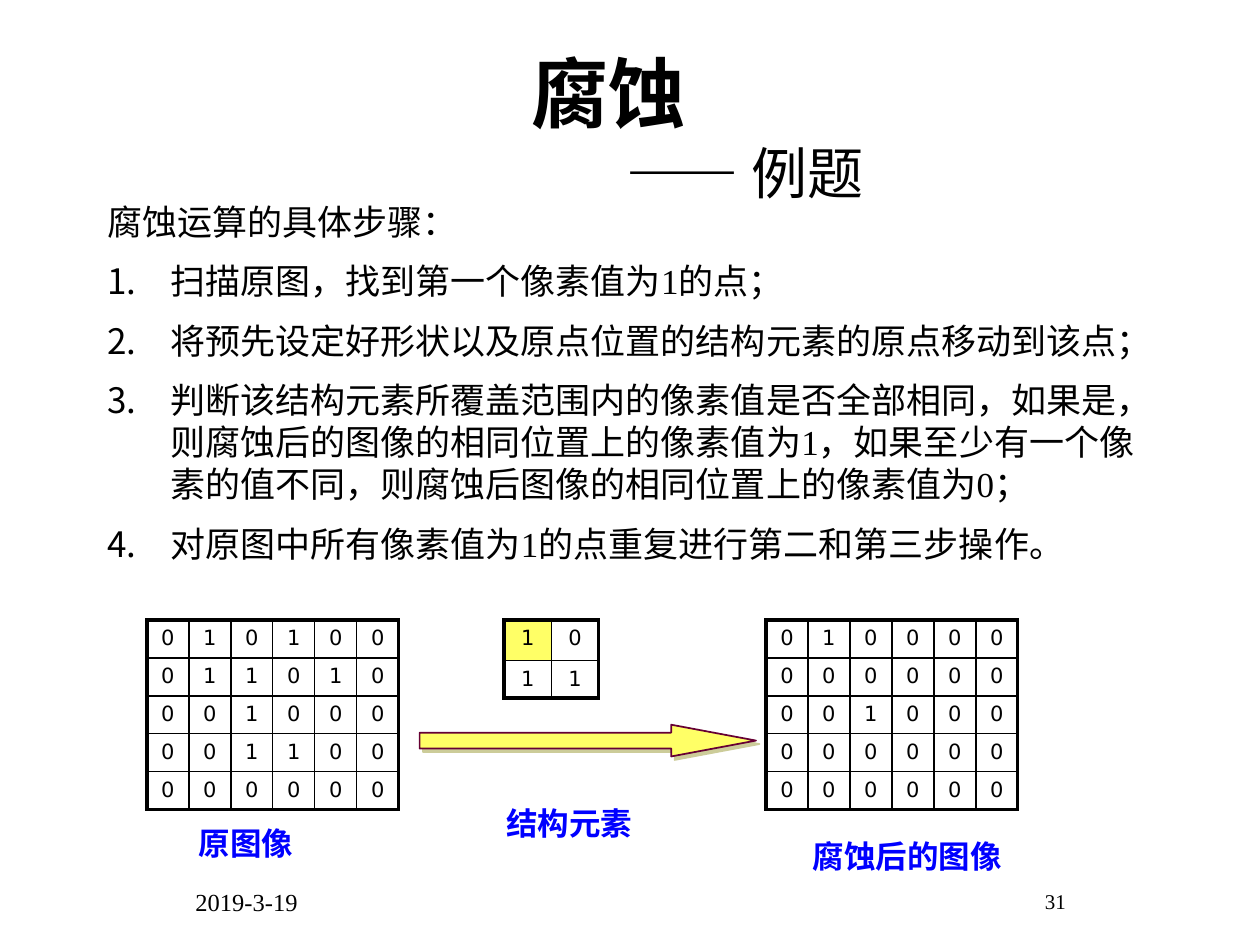
from lxml import etree
from pptx import Presentation
from pptx import util as u
from pptx.dml import color
from pptx.enum import shapes, text
from pptx.oxml import ns

BLACK, WHITE, BLUE, YELLOW = "000000", "FFFFFF", "0000FF", "FFFF66"
SERIF = "Times New Roman"
ORIGINAL = ["010100", "011010", "001000", "001100", "000000"]
ELEMENT = ["10", "11"]
ERODED = ["010000", "000000", "001000", "000000", "000000"]
STEPS = [
    "扫描原图，找到第一个像素值为1的点；",
    "将预先设定好形状以及原点位置的结构元素的原点移动到该点；",
    "判断该结构元素所覆盖范围内的像素值是否全部相同，如果是，则腐蚀后的图像的相同位置上的像素值为1，"
    "如果至少有一个像素的值不同，则腐蚀后图像的相同位置上的像素值为0；",
    "对原图中所有像素值为1的点重复进行第二和第三步操作。",
]
LABELS = [
    ("原图像", 3.76, 16.48, 2.44),
    ("结构元素", 9.96, 16.08, 3.1),
    ("腐蚀后的图像", 16.13, 16.74, 4.39),
]


def rgb(value):
    return color.RGBColor.from_string(value)


def add_child(parent, tag, **attributes):
    return etree.SubElement(parent, ns.qn(tag), attributes)


def write(paragraph, content, size=20, font=SERIF, fill=BLACK, bold=False, align=text.PP_ALIGN.LEFT):
    run = paragraph.add_run()
    run.text = content
    run.font.size = u.Pt(size)
    run.font.name = font
    run.font.bold = bold
    run.font.color.rgb = rgb(fill)
    paragraph.alignment = align


def box(left, top, width, height):
    return [u.Cm(length) for length in (left, top, width, height)]


def add_title(slide):
    title = slide.shapes.title
    title.left, title.top, title.width, title.height = box(1.75, 1.09, 21.39, 3.18)
    frame = title.text_frame
    frame.auto_size = text.MSO_AUTO_SIZE.NONE
    frame.vertical_anchor = text.MSO_ANCHOR.BOTTOM
    heading, subtitle = frame.paragraphs[0], frame.add_paragraph()
    centre = text.PP_ALIGN.CENTER
    write(heading, "腐蚀 ", size=44, font="Montserrat", bold=True, align=centre)
    subtitle._p.get_or_add_pPr().set("marL", str(u.Cm(5.16)))
    write(subtitle, "—— ", size=32, font="Montserrat", bold=True, align=centre)
    write(subtitle, "例题", size=32, font="Montserrat", align=centre)
    slide.shapes._spTree.append(title._element)


def add_footer(slide, content, position, size):
    frame = slide.shapes.add_textbox(*box(*position)).text_frame
    frame.word_wrap = True
    write(frame.paragraphs[0], content, size=size, align=text.PP_ALIGN.CENTER)


def add_panel(slide, position, wrap):
    panel = slide.shapes.add_shape(shapes.MSO_SHAPE.RECTANGLE, *box(*position))
    panel.shadow.inherit = False
    panel.fill.solid()
    panel.fill.fore_color.rgb = rgb(WHITE)
    panel.line.color.rgb = rgb(WHITE)
    panel.line.width = u.Pt(1)
    frame = panel.text_frame
    frame.word_wrap = wrap
    frame.auto_size = text.MSO_AUTO_SIZE.SHAPE_TO_FIT_TEXT
    frame.vertical_anchor = text.MSO_ANCHOR.TOP
    return frame


def add_steps(slide):
    frame = add_panel(slide, (1.91, 3.91, 21.59, 7.87), wrap=True)
    write(frame.paragraphs[0], "腐蚀运算的具体步骤：")
    for step in STEPS:
        paragraph = frame.add_paragraph()
        paragraph.space_before = u.Pt(10)
        properties = paragraph._p.get_or_add_pPr()
        properties.set("marL", str(u.Cm(1.27)))
        properties.set("indent", str(-u.Cm(1.27)))
        add_child(properties, "a:buAutoNum", type="arabicPeriod")
        write(paragraph, step)


def set_borders(cell, outer_sides):
    properties = cell._tc.get_or_add_tcPr()
    for index, side in enumerate("LRTB"):
        width = u.Pt(2.25 if side in outer_sides else 1)
        line = etree.Element(ns.qn(f"a:ln{side}"), w=str(width))
        add_child(add_child(line, "a:solidFill"), "a:srgbClr", val=BLACK)
        properties.insert(index, line)


def add_pixel_grid(slide, pixels, left, width, heights, marked=None):
    rows, columns = len(pixels), len(pixels[0])
    position = box(left, 12.5, width, sum(heights))
    table = slide.shapes.add_table(rows, columns, *position).table
    table.first_row = table.horz_banding = False
    for column in table.columns:
        column.width = u.Cm(width / columns)
    for row, height in zip(table.rows, heights):
        row.height = u.Cm(height)
    for i, values in enumerate(pixels):
        for j, value in enumerate(values):
            cell = table.cell(i, j)
            if (i, j) == marked:
                cell.fill.solid()
                cell.fill.fore_color.rgb = rgb(YELLOW)
            else:
                cell.fill.background()
            edges = {"L": j == 0, "R": j == columns - 1, "T": i == 0, "B": i == rows - 1}
            set_borders(cell, [side for side, outer in edges.items() if outer])
            write(cell.text_frame.paragraphs[0], value, size=12, font="DejaVu Sans",
                  align=text.PP_ALIGN.CENTER)


def add_arrow(slide):
    arrow = slide.shapes.add_shape(shapes.MSO_SHAPE.RIGHT_ARROW, *box(8.46, 14.61, 6.78, 0.64))
    arrow.adjustments[0] = 0.5
    arrow.adjustments[1] = 2.67
    arrow.fill.solid()
    arrow.fill.fore_color.rgb = rgb(YELLOW)
    arrow.line.color.rgb = rgb("660033")
    arrow.line.width = u.Pt(1)
    effects = add_child(arrow._element.spPr, "a:effectLst")
    shadow = add_child(effects, "a:outerShdw", dist=str(u.Pt(2.8)), dir="2700000",
                       algn="ctr", rotWithShape="0")
    add_child(shadow, "a:srgbClr", val="CCCC99")


def main():
    presentation = Presentation()
    presentation.slide_width, presentation.slide_height = u.Cm(25.4), u.Cm(19.05)
    slide = presentation.slides.add_slide(presentation.slide_layouts[5])
    add_footer(slide, "2019-3-19", (2.11, 17.75, 5.72, 1.27), size=14)
    add_footer(slide, "31", (19.05, 17.78, 4.45, 1.27), size=12)
    add_steps(slide)
    add_pixel_grid(slide, ORIGINAL, 2.96, 5.08, [0.76] * 5)
    add_pixel_grid(slide, ELEMENT, 10.16, 1.91, [0.81, 0.76], marked=(0, 0))
    add_pixel_grid(slide, ERODED, 15.44, 5.08, [0.76] * 5)
    for label, left, top, width in LABELS:
        frame = add_panel(slide, (left, top, width, 1.02), wrap=False)
        write(frame.paragraphs[0], label, size=18, fill=BLUE, bold=True)
    add_arrow(slide)
    add_title(slide)
    presentation.save("out.pptx")


if __name__ == "__main__":
    main()
